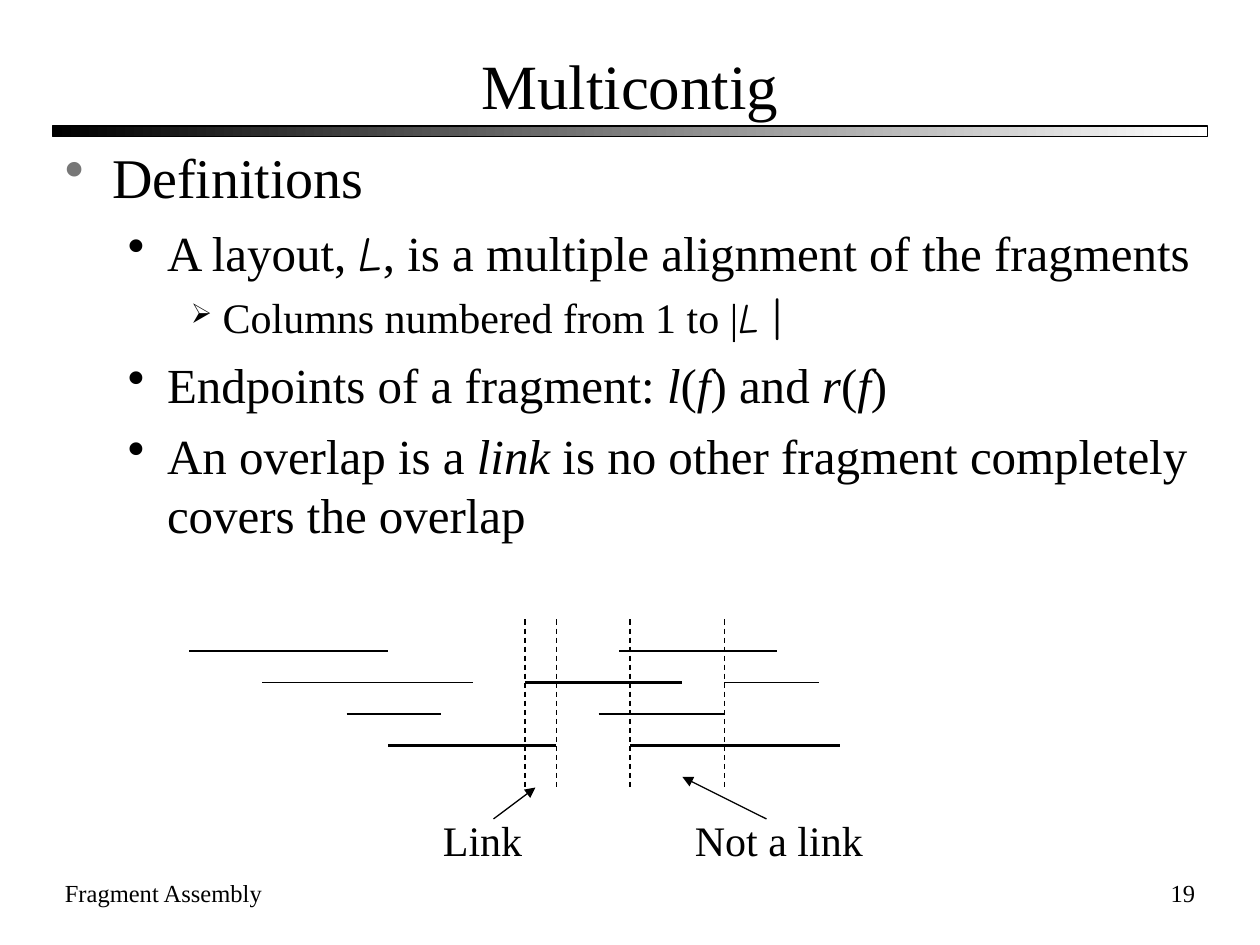
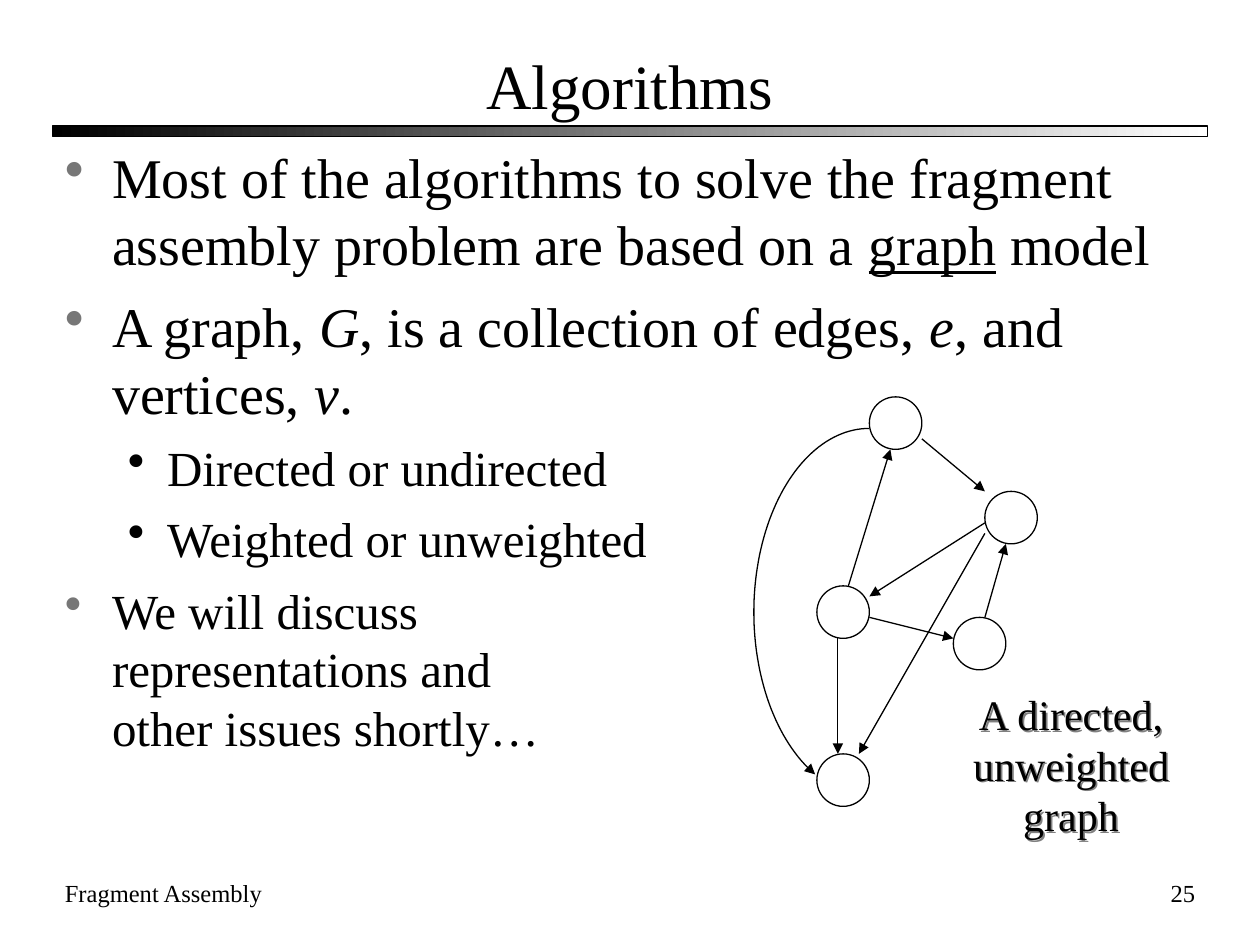
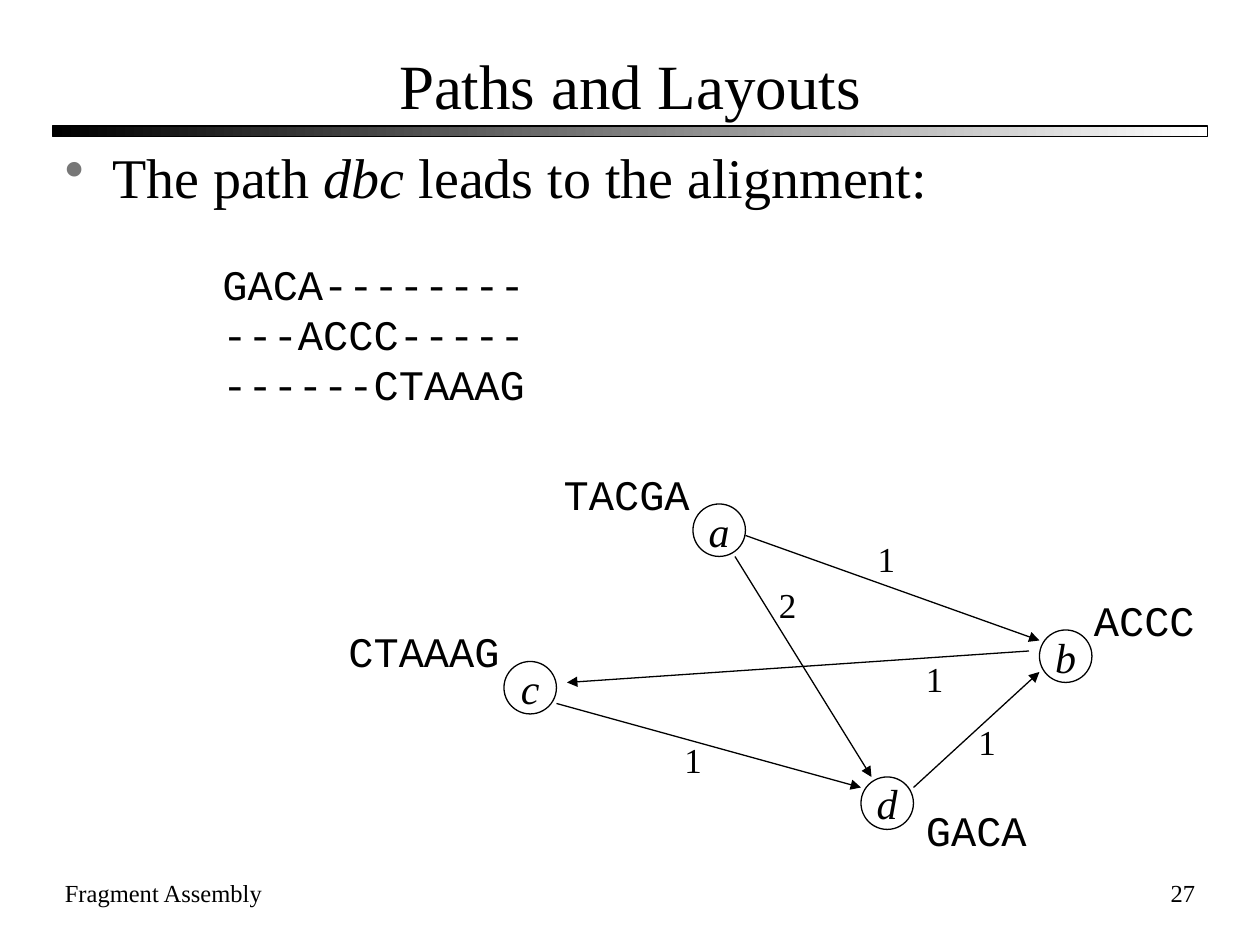
import math

from lxml import etree
from pptx import Presentation
from pptx.dml.color import RGBColor
from pptx.enum.dml import MSO_LINE
from pptx.enum.shapes import MSO_CONNECTOR, MSO_SHAPE
from pptx.enum.text import MSO_ANCHOR, PP_ALIGN
from pptx.oxml.ns import qn
from pptx.util import Cm, Pt

BLACK = RGBColor(0x00, 0x00, 0x00)
WHITE = RGBColor(0xFF, 0xFF, 0xFF)
GRAY = RGBColor(0x77, 0x77, 0x77)
SHADOW_GRAY = RGBColor(0x80, 0x80, 0x80)

LEFT, CENTER, RIGHT = PP_ALIGN.LEFT, PP_ALIGN.CENTER, PP_ALIGN.RIGHT
TOP, MIDDLE = MSO_ANCHOR.TOP, MSO_ANCHOR.MIDDLE
DASH = MSO_LINE.DASH
STRAIGHT = MSO_CONNECTOR.STRAIGHT
RECTANGLE, OVAL = MSO_SHAPE.RECTANGLE, MSO_SHAPE.OVAL

SERIF = "Times New Roman"
MONO = "Courier New"
SCRIPT = "Comic Neue"

ITALIC = {"italic": True}
UNDERLINE = {"underline": True}
SCRIPT_ITALIC = {"name": SCRIPT, "italic": True}
SCRIPT_UPRIGHT = {"name": SCRIPT}

SLIDE_WIDTH, SLIDE_HEIGHT = Cm(25.4), Cm(19.05)
STEPS_ACROSS = 120
MARGIN, CONTENT_WIDTH = 5, 110
NODE_SIZE = 5
THIN, THICK = 0.75, 1.5

LEVELS = [
    {"size": 32, "left": Cm(0.95), "hang": Cm(0.95), "before": 8,
     "bullet": "•", "color": GRAY, "scale": 100},
    {"size": 28, "left": Cm(2.06), "hang": Cm(0.79), "before": 7,
     "bullet": "•", "color": BLACK, "scale": 100},
    {"size": 24, "left": Cm(3.18), "hang": Cm(0.64), "before": 6,
     "bullet": "➢", "color": BLACK, "scale": 65},
]


def grid(steps):
    return Cm(25.4 * steps / STEPS_ACROSS)


def add_child(parent, tag, **attributes):
    child = etree.SubElement(parent, qn(tag))
    for key, value in attributes.items():
        child.set(key, str(value))
    return child


def set_font(paragraph, size, name=SERIF, italic=False):
    paragraph.font.name = name
    paragraph.font.size = Pt(size)
    paragraph.font.italic = italic
    paragraph.font.color.rgb = BLACK


def add_text(slide, text, x, y, width, height, size, name=SERIF,
             align=LEFT, anchor=TOP, wrap=False, tabs=()):
    box = slide.shapes.add_textbox(grid(x), grid(y), grid(width), grid(height))
    frame = box.text_frame
    frame.word_wrap = wrap
    frame.vertical_anchor = anchor
    frame.text = text
    for paragraph in frame.paragraphs:
        paragraph.alignment = align
        if tabs:
            tab_list = add_child(paragraph._p.get_or_add_pPr(), "a:tabLst")
            for position in tabs:
                add_child(tab_list, "a:tab", pos=grid(position), algn="l")
        set_font(paragraph, size, name)
    return box


def add_bullet(paragraph, level):
    style = LEVELS[level]
    paragraph.level = level
    properties = paragraph._p.get_or_add_pPr()
    properties.set("marL", str(style["left"]))
    properties.set("indent", str(-style["hang"]))
    color = add_child(properties, "a:buClr")
    add_child(color, "a:srgbClr", val=style["color"])
    add_child(properties, "a:buSzPct", val=style["scale"] * 1000)
    add_child(properties, "a:buChar", char=style["bullet"])


def add_runs(paragraph, pieces):
    for piece in pieces:
        text, look = (piece, {}) if isinstance(piece, str) else piece
        for number, line in enumerate(text.split("\n")):
            if number:
                paragraph.add_line_break()
            run = paragraph.add_run()
            run.text = line
            for attribute, value in look.items():
                setattr(run.font, attribute, value)


def add_body(slide, items):
    box = slide.shapes.add_textbox(
        grid(MARGIN), grid(13), grid(CONTENT_WIDTH), grid(69))
    frame = box.text_frame
    frame.word_wrap = True
    for number, (level, size, pieces) in enumerate(items):
        paragraph = frame.add_paragraph() if number else frame.paragraphs[0]
        add_bullet(paragraph, level)
        if number:
            paragraph.space_before = Pt(7 if size == 28 else LEVELS[level]["before"])
        set_font(paragraph, size)
        add_runs(paragraph, pieces)


def style_outline(shape, weight=THIN, arrow=False):
    shape.line.color.rgb = BLACK
    shape.line.width = Pt(weight)
    if arrow:
        outline = shape._element.spPr.find(qn("a:ln"))
        add_child(outline, "a:tailEnd", type="triangle")


def add_line(slide, x1, y1, x2, y2, weight=THIN, dash=None, arrow=False):
    line = slide.shapes.add_connector(
        STRAIGHT, grid(x1), grid(y1), grid(x2), grid(y2))
    line.line.color.rgb = BLACK
    if dash:
        line.line.dash_style = dash
    style_outline(line, weight, arrow)
    add_child(line._element.spPr, "a:effectLst")


def add_node(slide, x, y, label=""):
    node = slide.shapes.add_shape(
        OVAL, grid(x), grid(y), grid(NODE_SIZE), grid(NODE_SIZE))
    node.shadow.inherit = False
    node.fill.background()
    style_outline(node)
    if label:
        frame = node.text_frame
        frame.word_wrap = False
        frame.vertical_anchor = MIDDLE
        frame.text = label
        frame.paragraphs[0].alignment = CENTER
        set_font(frame.paragraphs[0], 24, italic=True)


def add_curved_edge(slide, center_x, center_y, radius_x, radius_y, sweep):
    points = []
    for degrees in range(0, sweep + 1, 2):
        angle = math.radians(degrees)
        points.append((grid(center_x - radius_x * math.sin(angle)),
                       grid(center_y - radius_y * math.cos(angle))))
    builder = slide.shapes.build_freeform(*points[0])
    builder.add_line_segments(points[1:], close=False)
    edge = builder.convert_to_shape()
    edge.shadow.inherit = False
    edge.fill.background()
    style_outline(edge, arrow=True)


def add_shadow(box):
    effects = add_child(box._element.spPr, "a:effectLst")
    shadow = add_child(effects, "a:outerShdw", dist=Pt(1.4), dir=2700000,
                       algn="ctr", rotWithShape=0)
    add_child(shadow, "a:srgbClr", val=SHADOW_GRAY)


def start_slide(deck, title, number):
    slide = deck.slides.add_slide(deck.slide_layouts[6])
    band = slide.shapes.add_shape(
        RECTANGLE, grid(MARGIN), grid(12), grid(CONTENT_WIDTH), grid(1))
    band.shadow.inherit = False
    band.fill.gradient()
    band.fill.gradient_angle = 0
    for stop, color in zip(band.fill.gradient_stops, (BLACK, WHITE)):
        stop.color.rgb = color
    style_outline(band)
    add_text(slide, title, MARGIN, 4, CONTENT_WIDTH, 8, 36,
             align=CENTER, anchor=MIDDLE, wrap=True)
    add_text(slide, "Fragment Assembly", MARGIN, 83, 42, 6, 14, wrap=True)
    add_text(slide, str(number), 90, 83, 25, 6, 14, align=RIGHT, wrap=True)
    return slide


def build_multicontig(deck):
    slide = start_slide(deck, "Multicontig", 19)
    add_body(slide, [
        (0, 32, ["Definitions"]),
        (1, 28, ["A layout, ", ("L", SCRIPT_ITALIC),
                 ", is a multiple alignment of the fragments"]),
        (2, 24, ["Columns numbered from 1 to |", ("L ", SCRIPT_ITALIC),
                 ("|", SCRIPT_UPRIGHT)]),
        (1, 28, ["Endpoints of a fragment: ", ("l", ITALIC), "(", ("f", ITALIC),
                 ") and ", ("r", ITALIC), "(", ("f", ITALIC), ")"]),
        (1, 28, ["An overlap is a ", ("link", ITALIC),
                 " is no other fragment completely covers the overlap"]),
    ])
    fragments = [
        (0, 18, 37, THIN), (1, 25, 45, THIN), (2, 33, 42, THIN),
        (3, 37, 53, THICK), (1, 50, 65, THICK), (3, 60, 80, THICK),
        (2, 57, 69, THICK), (0, 59, 74, THIN), (1, 69, 78, THIN),
    ]
    for row, start, end, weight in fragments:
        y = 62 + 3 * row
        add_line(slide, start, y, end, y, weight)
    for overlap_end in (50, 53, 60, 69):
        add_line(slide, overlap_end, 59, overlap_end, 75, dash=DASH)
    add_text(slide, "Link\t\tNot a link", 41, 77, 42.4, 6, 24, tabs=(12, 24))
    for pointer in [(47, 78, 51, 75), (73, 78, 65, 74)]:
        add_line(slide, *pointer, arrow=True)


def build_algorithms(deck):
    slide = start_slide(deck, "Algorithms", 25)
    add_body(slide, [
        (0, 32, ["Most of the algorithms to solve the fragment assembly "
                 "problem are based on a ", ("graph", UNDERLINE), " model"]),
        (0, 32, ["A graph, ", ("G", ITALIC), ", is a collection of edges, ",
                 ("e", ITALIC), ", and vertices, ", ("v", ITALIC), "."]),
        (1, 28, ["Directed or undirected"]),
        (1, 28, ["Weighted or unweighted"]),
        (0, 28, ["We will discuss\nrepresentations and\n"
                 "other issues shortly…"]),
    ])
    shift = -0.2
    vertices = [(83, 38), (94, 47), (91, 59), (78, 56), (78, 72)]
    edges = [
        (81, 56, 85, 43), (83, 59, 91, 61), (80, 61, 80, 72),
        (94, 50, 83, 57), (94, 51, 82, 72), (94, 59, 96, 52),
        (88, 42, 94, 47),
    ]
    for vertex in vertices:
        add_node(slide, *(value + shift for value in vertex))
    for edge in edges:
        add_line(slide, *(value + shift for value in edge), arrow=True)
    add_curved_edge(slide, 83 + shift, 58.5 + shift, 11, 17.5, 152)
    caption = add_text(slide, "A directed, unweighted graph", 91, 65, 22, 15.6,
                       24, align=CENTER, wrap=True)
    add_shadow(caption)


def build_paths(deck):
    slide = start_slide(deck, "Paths and Layouts", 27)
    add_body(slide, [
        (0, 32, ["The path ", ("dbc", ITALIC), " leads to the alignment:"]),
    ])
    vertices = [("a", 66, 48), ("b", 99, 60), ("d", 82, 74), ("c", 48, 63)]
    sequences = [("TACGA", 52.5, 44), ("CTAAAG", 32, 59),
                 ("ACCC", 103, 56), ("GACA", 87, 76)]
    edges = [(71, 51, 99, 61), (70, 53, 83, 74), (87, 75, 99, 64),
             (53, 67, 82, 75), (98, 62, 54, 65)]
    weights = [("1", 82.4, 50.6), ("1", 87, 62), ("1", 92, 68),
               ("2", 73, 55), ("1", 64, 69.7)]
    for label, x, y in vertices:
        add_node(slide, x, y, label)
    for sequence, x, y in sequences:
        add_text(slide, sequence, x, y, 2.4 + 2.4 * len(sequence), 6, 24, MONO)
    for edge in edges:
        add_line(slide, *edge, arrow=True)
    for weight, x, y in weights:
        add_text(slide, weight, x, y, 4, 5.2, 20)
    alignment = "GACA--------\n---ACCC-----\n------CTAAAG"
    add_text(slide, alignment, 20, 24, 37, 15.6, 24, MONO, wrap=True)


def main():
    deck = Presentation()
    deck.slide_width, deck.slide_height = SLIDE_WIDTH, SLIDE_HEIGHT
    build_multicontig(deck)
    build_algorithms(deck)
    build_paths(deck)
    deck.save("out.pptx")


if __name__ == "__main__":
    main()
